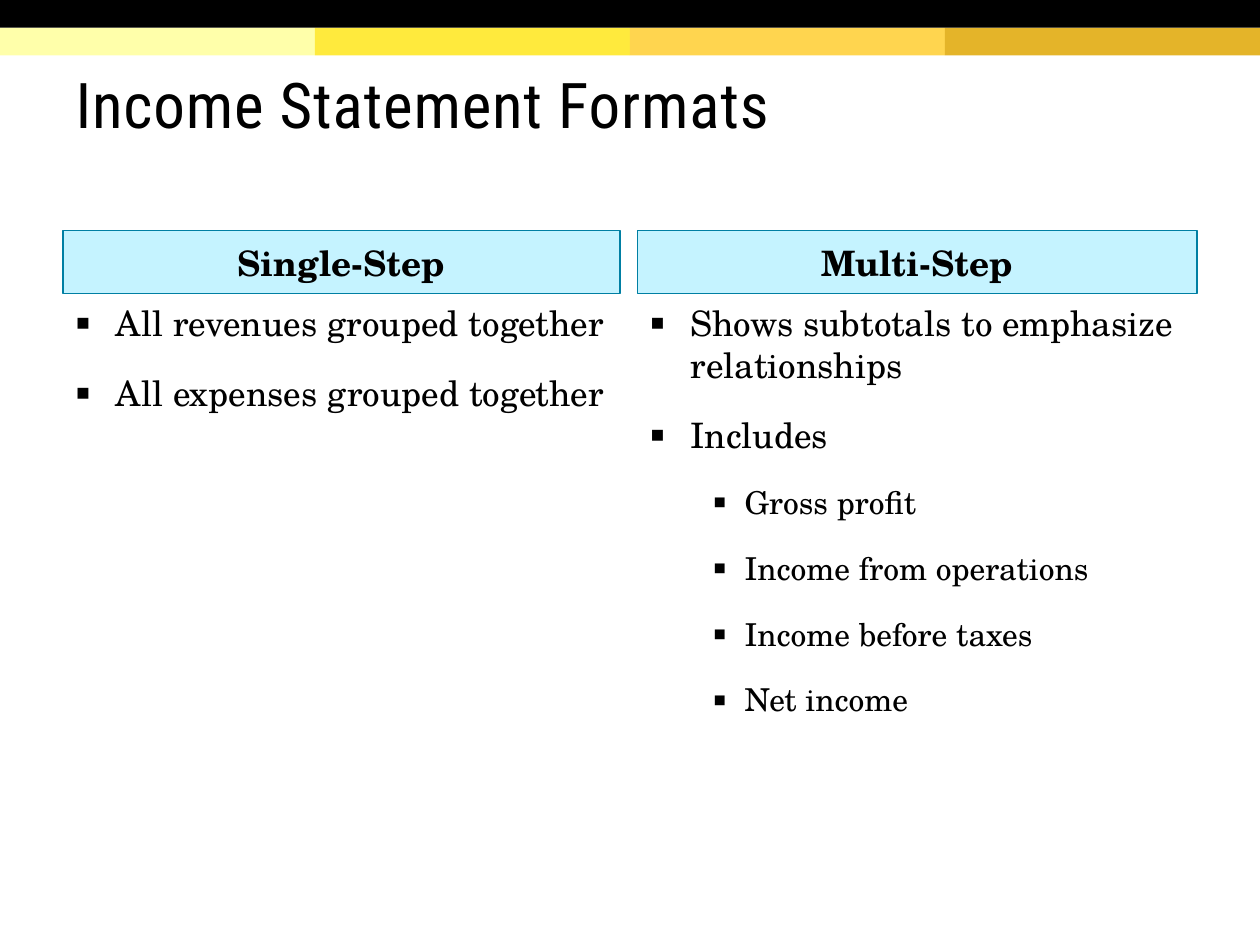
from lxml import etree
from pptx import Presentation, util as u
from pptx.dml.color import RGBColor
from pptx.enum import shapes, text
from pptx.oxml.ns import qn

INK = "000000"
SERIF = "TeX Gyre Schola"
GAP = u.Pt(8)


def style(par, size, face=SERIF, bold=False):
    for run in par.runs:
        run.font.size = u.Pt(size)
        run.font.name = face
        run.font.bold = bold
        run.font.color.rgb = RGBColor.from_string(INK)


def bullet(par, left, hang):
    props = par._p.get_or_add_pPr()
    props.set("marL", str(u.Inches(left)))
    props.set("indent", str(-u.Inches(hang)))
    tint = etree.SubElement(props, qn("a:buClr"))
    etree.SubElement(tint, qn("a:srgbClr"), val=INK)
    etree.SubElement(props, qn("a:buSzPct"), val="85000")
    etree.SubElement(props, qn("a:buFont"), typeface=SERIF)
    etree.SubElement(props, qn("a:buChar"), char="▪")


deck = Presentation()
deck.slide_width, deck.slide_height = u.Inches(10), u.Inches(7.5)
slide = deck.slides.add_slide(deck.slide_layouts[4])
holes = slide.placeholders

# Colour bands: a black strip over four equal quarters
band = 0.22
quarter = 10 / 4
bands = [(i * quarter, band, quarter, fill) for i, fill in
         enumerate(["FFFFAA", "FFEA3D", "FFD54F", "E4B429"])]
bands.append((0, 0, 10, INK))
for left, top, width, fill in bands:
    strip = slide.shapes.add_shape(
        shapes.MSO_SHAPE.RECTANGLE, u.Inches(left), u.Inches(top),
        u.Inches(width), u.Inches(band))
    strip.shadow.inherit = False
    strip.fill.solid()
    strip.fill.fore_color.rgb = RGBColor.from_string(fill)
    strip.line.fill.background()

# Title
title = slide.shapes.title
title.left, title.top = u.Inches(0.5), u.Inches(0.24)
title.width, title.height = u.Inches(9), u.Inches(1.2)
frame = title.text_frame
frame.text = "Income Statement Formats"
frame.auto_size = text.MSO_AUTO_SIZE.NONE
frame.vertical_anchor = text.MSO_ANCHOR.MIDDLE
frame.margin_top = u.Inches(0.1)
par = frame.paragraphs[0]
par.alignment = text.PP_ALIGN.LEFT
par.line_spacing = 0.85
style(par, 36, "Roboto Condensed")
par.runs[0].font._element.set("spc", "50")

# Two columns: a boxed heading over a list of (level, words)
columns = [
    (0.5, 4.42, "Single-Step", [
        (0, "All revenues grouped together"),
        (0, "All expenses grouped together")]),
    (5.06, 4.44, "Multi-Step", [
        (0, "Shows subtotals to emphasize relationships"),
        (0, "Includes"),
        (1, "Gross profit"),
        (1, "Income from operations"),
        (1, "Income before taxes"),
        (1, "Net income")]),
]
indents = [(0.32, 0.32), (0.75, 0.25)]
sizes = [20, 18]
for col, (left, width, name, items) in enumerate(columns):
    head, body = holes[2 * col + 1], holes[2 * col + 2]
    for box, top, height in [(head, 1.83, 0.5), (body, 2.34, 4.03)]:
        box.left, box.top = u.Inches(left), u.Inches(top)
        box.width, box.height = u.Inches(width), u.Inches(height)
        box.text_frame.auto_size = text.MSO_AUTO_SIZE.NONE

    head.fill.solid()
    head.fill.fore_color.rgb = RGBColor.from_string("C5F3FF")
    head.line.color.rgb = RGBColor.from_string("007FA3")
    head.line.width = u.Pt(0.75)
    head.text_frame.text = name
    head.text_frame.vertical_anchor = text.MSO_ANCHOR.MIDDLE
    par = head.text_frame.paragraphs[0]
    par.alignment = text.PP_ALIGN.CENTER
    par.space_before = u.Pt(0)
    style(par, 20, bold=True)

    frame = body.text_frame
    frame.text = "\n".join(words for _, words in items)
    for i, (par, (level, _)) in enumerate(zip(frame.paragraphs, items)):
        par.level = level
        bullet(par, *indents[level])
        par.space_before = GAP if i else u.Pt(0)
        par.space_after = GAP
        style(par, sizes[level])

deck.save("out.pptx")
